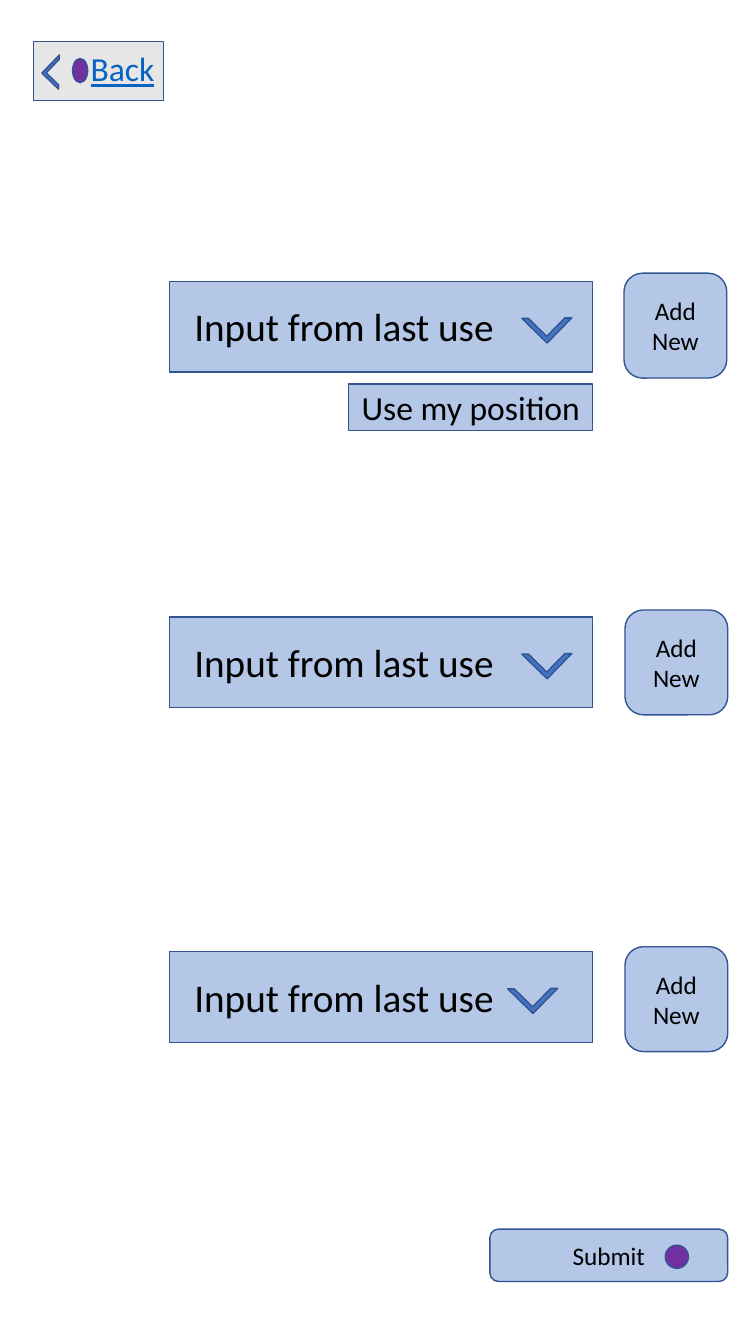
import pptx
import pptx.dml.color
import pptx.enum.shapes
import pptx.enum.text
import pptx.util

Inches = pptx.util.Inches
SHAPES = pptx.enum.shapes.MSO_SHAPE
FONT = "Calibri"
BLACK, OUTLINE = "000000", "325491"
PANEL, CHEVRON = "B4C7E7", "4472C4"
GREY, PURPLE, LINK = "E7E6E6", "7030A0", "0563C1"


def set_color(color_format, value):
    color_format.rgb = pptx.dml.color.RGBColor.from_string(value)


def write_text(shape, text, size, color=BLACK, centered=False):
    paragraph = shape.text_frame.paragraphs[0]
    paragraph.text = text
    paragraph.font.name = FONT
    paragraph.font.size = pptx.util.Pt(size)
    set_color(paragraph.font.color, color)
    if centered:
        paragraph.alignment = pptx.enum.text.PP_ALIGN.CENTER
        shape.text_frame.vertical_anchor = pptx.enum.text.MSO_ANCHOR.MIDDLE
    return paragraph


def add_box(slide, kind, left, top, width, height, fill, adjustments=()):
    shape = slide.shapes.add_shape(
        kind, Inches(left), Inches(top), Inches(width), Inches(height))
    shape.shadow.inherit = False
    shape.fill.solid()
    set_color(shape.fill.fore_color, fill)
    set_color(shape.line.color, OUTLINE)
    shape.line.width = pptx.util.Pt(1)
    for index, value in enumerate(adjustments):
        shape.adjustments[index] = value
    return shape


def add_button(slide, kind, left, top, width, height, text, size, adjustments=()):
    button = add_box(slide, kind, left, top, width, height, PANEL, adjustments)
    write_text(button, text, size, centered=True)


def add_chevron(slide, left, top, width, height, rotation):
    chevron = add_box(slide, SHAPES.HALF_FRAME, left, top, width, height,
                      CHEVRON, (0.13, 0.14))
    chevron.rotation = rotation


def add_label(slide, left, top, width, height, text, size, color=BLACK):
    label = slide.shapes.add_textbox(
        Inches(left), Inches(top), Inches(width), Inches(height))
    label.text_frame.word_wrap = True
    return write_text(label, text, size, color)


def add_input_row(slide, top, chevron_left, button_left, button_top):
    add_box(slide, SHAPES.RECTANGLE, 1.68, top, 4.2, 0.9, PANEL)
    add_chevron(slide, chevron_left, top + 0.19, 0.35, 0.35, 224.4)
    add_label(slide, 1.83, top + 0.16, 3.5, 0.57, "Input from last use", 28)
    add_button(slide, SHAPES.ROUNDED_RECTANGLE, button_left, button_top,
               1.02, 1.04, "Add New", 18, (0.18,))


def add_back_link(slide):
    add_box(slide, SHAPES.RECTANGLE, 0.33, 0.41, 1.29, 0.59, GREY)
    add_chevron(slide, 0.46, 0.6, 0.25, 0.23, 314)
    paragraph = add_label(slide, 0.8, 0.43, 0.88, 0.5, "Back", 24, LINK)
    paragraph.runs[0].font.underline = True
    add_box(slide, SHAPES.OVAL, 0.72, 0.58, 0.15, 0.24, PURPLE)


def main():
    presentation = pptx.Presentation()
    presentation.slide_width = Inches(7.5)
    presentation.slide_height = Inches(13.33)
    slide = presentation.slides.add_slide(presentation.slide_layouts[6])

    # Navigation
    add_back_link(slide)

    # Input rows: top, chevron left, button left, button top
    rows = [
        (2.79, 5.25, 6.19, 2.71),
        (6.12, 5.25, 6.2, 6.05),
        (9.44, 5.11, 6.2, 9.39),
    ]
    for row in rows:
        add_input_row(slide, *row)
    add_button(slide, SHAPES.RECTANGLE, 3.46, 3.81, 2.42, 0.46,
               "Use my position", 24)

    # Submit
    add_button(slide, SHAPES.ROUNDED_RECTANGLE, 4.86, 12.19, 2.36, 0.52,
               "Submit", 18)
    add_box(slide, SHAPES.OVAL, 6.6, 12.35, 0.23, 0.23, PURPLE)

    presentation.save("out.pptx")


main()
